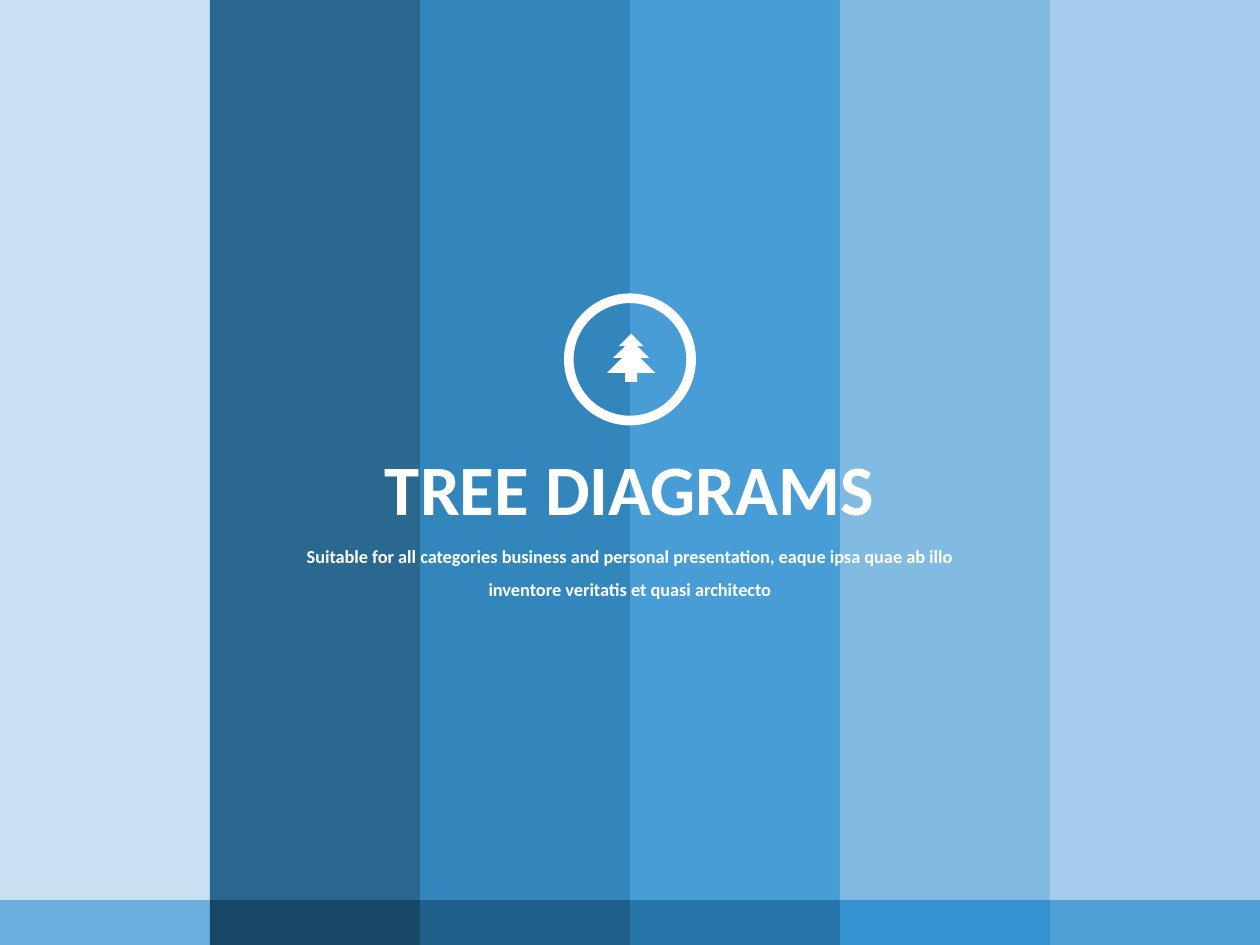
import pptx
import pptx.util
import pptx.dml.color
import pptx.enum.shapes
import pptx.enum.text
import pptx.oxml.ns
from lxml import etree

Pt = pptx.util.Pt
Shapes = pptx.enum.shapes.MSO_SHAPE
Text = pptx.enum.text

# Content
TITLE = "TREE DIAGRAMS"
SUBTITLE = ("Suitable for all categories business and personal presentation, "
            "eaque ipsa quae ab illo inventore veritatis et quasi architecto")

THEME = {
    "font": "Calibri",
    "title_size": 40.5,
    "subtitle_size": 10.5,
    "foreground": "FFFFFF",
    "stripes": ["C6E0F2", "1F608B", "2980B9", "4098D4", "7BB8E1", "9FCBE9"],
    "footer": ["6CAFDE", "174868", "1F608B", "2674A9", "3492D1", "4FA0D7"],
    "stripe_opacity": 95,
}

# Layout, in points
SLIDE_WIDTH, SLIDE_HEIGHT = 720, 540
FOOTER_TOP = 514.3
RING_SIZE, RING_TOP, RING_THICKNESS = 75.4, 167.7, 5.5
TITLE_BOX = (211.7, 250.6, 296.6, 56.2)
SUBTITLE_BOX = (157.7, 301.7, 404.6, 45.4)

# Right half of the tree: distance from its axis, then height on the slide
TREE_AXIS = 360.7
TREE_HALF = [(0, 190.7), (7, 197.8), (3.3, 197.8), (10.4, 204.6), (5.2, 204.6),
             (13.8, 213.1), (3.4, 213.1), (3.4, 218.3)]


def color(value):
    return pptx.dml.color.RGBColor.from_string(value)


def set_attributes(target, values):
    for name, value in values.items():
        setattr(target, name, value)


def paint(shape, fill, opacity=100):
    shape.shadow.inherit = False
    shape.fill.solid()
    shape.fill.fore_color.rgb = color(fill)
    shape.line.fill.background()
    if opacity < 100:
        tag = pptx.oxml.ns.qn("a:srgbClr")
        fill_color = next(shape.fill._xPr.iter(tag))
        etree.SubElement(fill_color, pptx.oxml.ns.qn("a:alpha"),
                         val=str(opacity * 1000))


def add_preset(slide, kind, box, fill, opacity=100):
    shape = slide.shapes.add_shape(kind, *map(Pt, box))
    paint(shape, fill, opacity)
    return shape


def add_stripes(slide, colors, top, bottom, opacity=100):
    width = SLIDE_WIDTH / len(colors)
    for index, fill in enumerate(colors):
        box = (index * width, top, width, bottom - top)
        add_preset(slide, Shapes.RECTANGLE, box, fill, opacity)


def add_tree(slide):
    right = [(TREE_AXIS + offset, y) for offset, y in TREE_HALF]
    left = [(TREE_AXIS - offset, y) for offset, y in reversed(TREE_HALF[1:])]
    points = [(Pt(x), Pt(y)) for x, y in right + left]
    builder = slide.shapes.build_freeform(*points[0])
    builder.add_line_segments(points[1:], close=True)
    paint(builder.convert_to_shape(), THEME["foreground"])


def fill_placeholder(slide, placeholder, text, box, size, spacing, wrap):
    slide.shapes._spTree.append(placeholder._element)  # bring to the front
    set_attributes(placeholder, dict(zip(("left", "top", "width", "height"),
                                         map(Pt, box))))
    frame = placeholder.text_frame
    frame.text = text
    set_attributes(frame, {
        "word_wrap": wrap,
        "auto_size": Text.MSO_AUTO_SIZE.SHAPE_TO_FIT_TEXT,
        "vertical_anchor": Text.MSO_ANCHOR.TOP,
        "margin_left": Pt(7.2), "margin_right": Pt(7.2),
        "margin_top": Pt(3.6), "margin_bottom": Pt(3.6),
    })
    paragraph = frame.paragraphs[0]
    set_attributes(paragraph, {"alignment": Text.PP_ALIGN.CENTER,
                               "line_spacing": spacing, "space_before": Pt(0)})
    font = paragraph.runs[0].font
    set_attributes(font, {"name": THEME["font"], "size": Pt(size), "bold": True})
    font.color.rgb = color(THEME["foreground"])


def main():
    presentation = pptx.Presentation()
    set_attributes(presentation, {"slide_width": Pt(SLIDE_WIDTH),
                                  "slide_height": Pt(SLIDE_HEIGHT)})
    slide = presentation.slides.add_slide(presentation.slide_layouts[0])

    # Background stripes and footer band
    add_stripes(slide, THEME["stripes"], 0, FOOTER_TOP, THEME["stripe_opacity"])
    add_stripes(slide, THEME["footer"], FOOTER_TOP, SLIDE_HEIGHT)

    # Title and subtitle
    fill_placeholder(slide, slide.shapes.title, TITLE, TITLE_BOX,
                     THEME["title_size"], 1.0, False)
    fill_placeholder(slide, slide.placeholders[1], SUBTITLE, SUBTITLE_BOX,
                     THEME["subtitle_size"], 1.5, True)

    # Ring with the tree icon
    ring_box = ((SLIDE_WIDTH - RING_SIZE) / 2, RING_TOP, RING_SIZE, RING_SIZE)
    ring = add_preset(slide, Shapes.DONUT, ring_box, THEME["foreground"])
    ring.adjustments[0] = RING_THICKNESS / RING_SIZE
    add_tree(slide)

    presentation.save("out.pptx")


if __name__ == "__main__":
    main()
